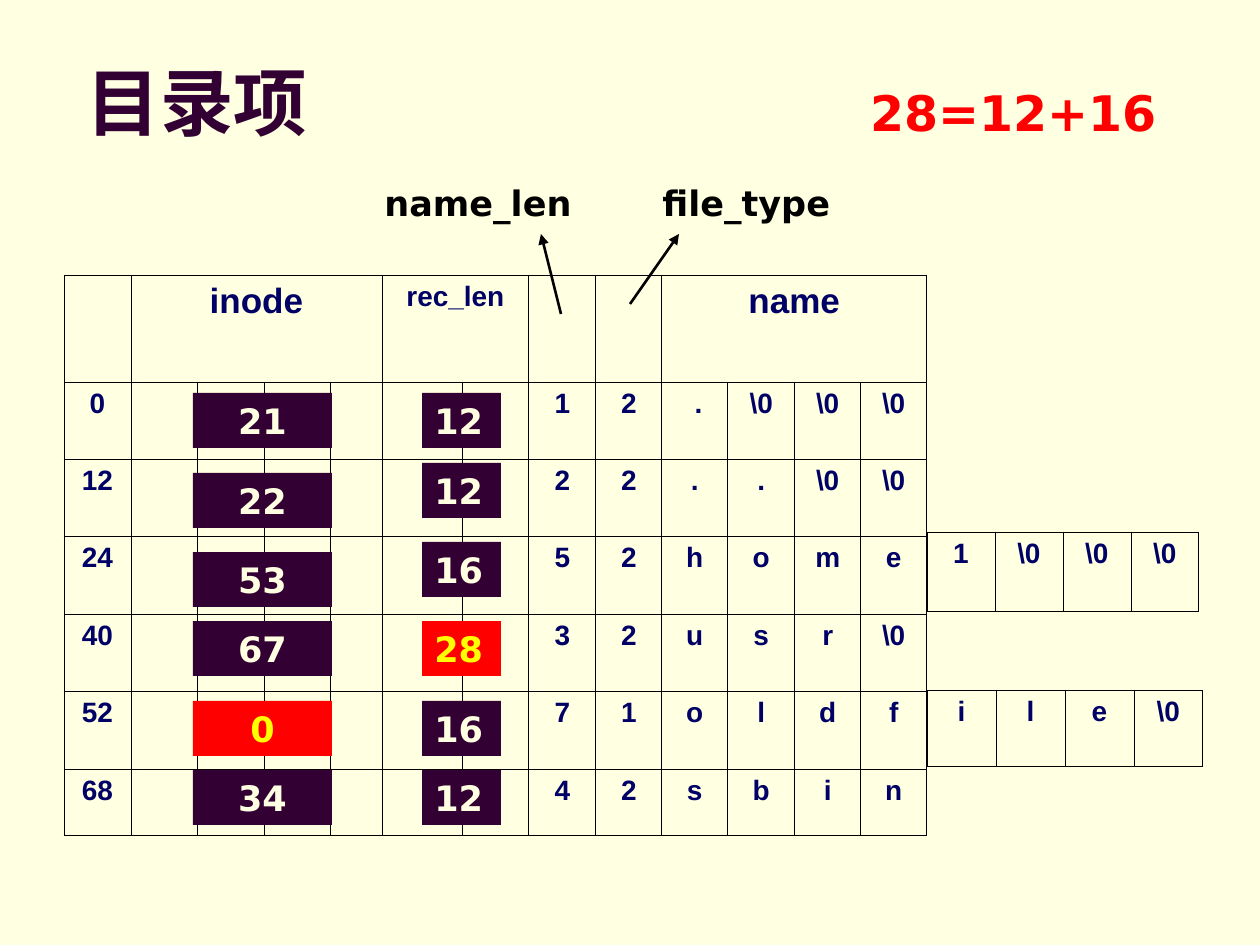
from dataclasses import dataclass

from lxml.etree import SubElement
from pptx import Presentation
from pptx.dml.color import RGBColor
from pptx.enum.shapes import MSO_CONNECTOR, MSO_SHAPE
from pptx.enum.text import MSO_ANCHOR, PP_ALIGN
from pptx.oxml.ns import qn
from pptx.util import Pt


@dataclass(frozen=True)
class Theme:
    cream: str = "FFFFE1"
    plum: str = "330033"
    navy: str = "000066"
    black: str = "000000"
    red: str = "FF0000"
    yellow: str = "FFFF00"
    serif: str = "Times New Roman"
    sans: str = "Arial"
    wide: str = "DejaVu Sans"
    huge: int = 42
    large: int = 28
    mid: int = 20
    small: int = 16
    grid: float = 0.45
    arrow: float = 1.5


def px(*sizes):
    """Turn px lengths into EMU, at 126 px to the inch."""
    return [round(size * 914400 / 126) for size in sizes]


def put(frame, text, *, size, color, font, align=PP_ALIGN.LEFT):
    """Write one bold paragraph into a text frame."""
    para = frame.paragraphs[0]
    para.alignment = align
    run = para.add_run()
    run.text = text
    run.font.size = Pt(size)
    run.font.bold = True
    run.font.name = font
    run.font.color.rgb = RGBColor.from_string(color)


class Page:
    def __init__(self, deck, theme):
        self.theme = theme
        self.slide = deck.slides.add_slide(deck.slide_layouts[5])
        self.shapes = self.slide.shapes
        fill = self.slide.background.fill
        fill.solid()
        fill.fore_color.rgb = RGBColor.from_string(theme.cream)

    def title(self, text, x, y, w, h):
        t = self.theme
        shape = self.shapes.title
        shape.left, shape.top, shape.width, shape.height = px(x, y, w, h)
        shape.text_frame.vertical_anchor = MSO_ANCHOR.MIDDLE
        put(shape.text_frame, text, size=t.huge, color=t.plum, font=t.serif)

    def label(self, text, x, y, w, h, size, color):
        frame = self.shapes.add_textbox(*px(x, y, w, h)).text_frame
        frame.word_wrap = True
        put(frame, text, size=size, color=color, font=self.theme.wide)

    def box(self, text, x, y, w, h, align, hot=False):
        t = self.theme
        shape = self.shapes.add_shape(MSO_SHAPE.RECTANGLE, *px(x, y, w, h))
        shape.shadow.inherit = False
        shape.fill.solid()
        shape.fill.fore_color.rgb = RGBColor.from_string(t.red if hot else t.plum)
        shape.line.fill.background()
        shape.text_frame.vertical_anchor = MSO_ANCHOR.TOP
        put(shape.text_frame, text, size=t.mid, font=t.wide, align=align,
            color=t.yellow if hot else t.cream)

    def arrow(self, *ends):
        line = self.shapes.add_connector(MSO_CONNECTOR.STRAIGHT, *px(*ends))
        line.line.width = Pt(self.theme.arrow)
        line.line.color.rgb = RGBColor.from_string(self.theme.black)
        SubElement(line.line._get_or_add_ln(), qn("a:tailEnd"), type="triangle")
        SubElement(line._element.spPr, qn("a:effectLst"))

    def table(self, x, y, cols, rows):
        area = px(x, y, sum(cols), sum(rows))
        table = self.shapes.add_table(len(rows), len(cols), *area).table
        table.first_row = table.horz_banding = False
        for col, width in zip(table.columns, px(*cols)):
            col.width = width
        for row, height in zip(table.rows, px(*rows)):
            row.height = height
        for cell in table.iter_cells():
            self.frame(cell)
        return table

    def frame(self, cell):
        """Give a cell thin lines on all sides and no fill."""
        props = cell._tc.get_or_add_tcPr()
        for side in ("lnL", "lnR", "lnT", "lnB"):
            line = SubElement(props, qn(f"a:{side}"), w=str(Pt(self.theme.grid)))
            fill = SubElement(line, qn("a:solidFill"))
            SubElement(fill, qn("a:srgbClr"), val=self.theme.black)
        cell.fill.background()

    def cell(self, cell, text, size):
        put(cell.text_frame, text, size=size, color=self.theme.navy,
            font=self.theme.sans, align=PP_ALIGN.CENTER)

    def cells(self, table, row, start, texts):
        for col, text in enumerate(texts, start):
            self.cell(table.cell(row, col), text, self.theme.small)


NUL = r"\0"
# Offset, inode, rec_len, name_len, file_type, name
ENTRIES = [
    ("0", "21", "12", "1", "2", [" .", NUL, NUL, NUL]),
    ("12", "22", "12", "2", "2", [".", ".", NUL, NUL]),
    ("24", "53", "16", "5", "2", "home"),
    ("40", "67", "28", "3", "2", ["u", "s", "r", NUL]),
    ("52", "0", "16", "7", "1", "oldf"),
    ("68", "34", "12", "4", "2", "sbin"),
]
COLS = [67, 66, 67, 66, 52, 81, 66, 67, 66, 66, 67, 66, 66]
ROWS = [107, 77, 77, 78, 77, 78, 66]
# Tops of the inode and rec_len boxes
TOPS = [(393, 393), (473, 463), (552, 542), (621, 621), (701, 701), (770, 770)]


def main():
    theme = Theme()
    deck = Presentation()
    deck.slide_width, deck.slide_height = px(1260, 945)
    page = Page(deck, theme)
    page.title("目录项", 74, 55, 1103, 93)

    # Entry table
    table = page.table(64, 275, COLS, ROWS)
    heads = [("inode", 1, 4, theme.mid), ("rec_len", 5, 6, theme.small),
             ("name", 9, 12, theme.mid)]
    for text, first, last, size in heads:
        table.cell(0, first).merge(table.cell(0, last))
        page.cell(table.cell(0, first), text, size)
    for row, (start, _, _, length, kind, name) in enumerate(ENTRIES, 1):
        page.cells(table, row, 0, [start])
        page.cells(table, row, 7, [length, kind, *name])

    # Tails of the long names
    tails = [(532, 68, 79, ["1", NUL, NUL, NUL]), (690, 69, 76, ["i", "l", "e", NUL])]
    for top, width, height, texts in tails:
        tail = page.table(927, top, [width] * len(texts), [height])
        page.cells(tail, 0, 0, texts)

    # Value boxes over the inode and rec_len cells
    for (_, inode, size, *_), (left, right) in zip(ENTRIES, TOPS):
        page.box(inode, 193, left, 139, 55, PP_ALIGN.CENTER, hot=inode == "0")
        page.box(size, 422, right, 79, 55, PP_ALIGN.LEFT, hot=size == "28")

    # Field labels, arrows and sum
    page.label("name_len", 372, 175, 238, 55, theme.mid, theme.black)
    page.label("file_type", 650, 175, 268, 55, theme.mid, theme.black)
    page.arrow(561, 314, 541, 234)
    page.arrow(630, 304, 679, 234)
    page.label("28=12+16", 858, 76, 338, 72, theme.large, theme.red)

    deck.save("out.pptx")


if __name__ == "__main__":
    main()
